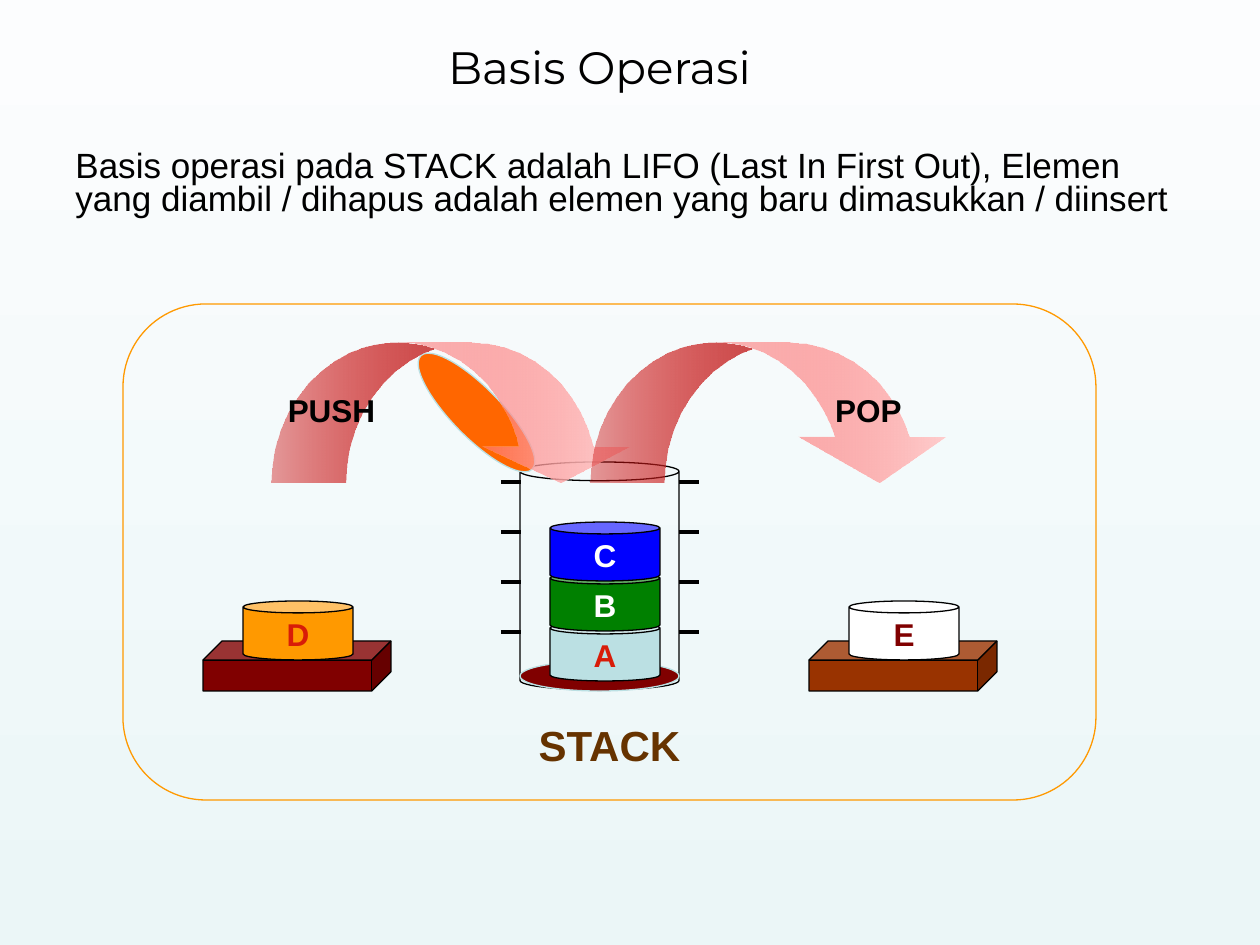
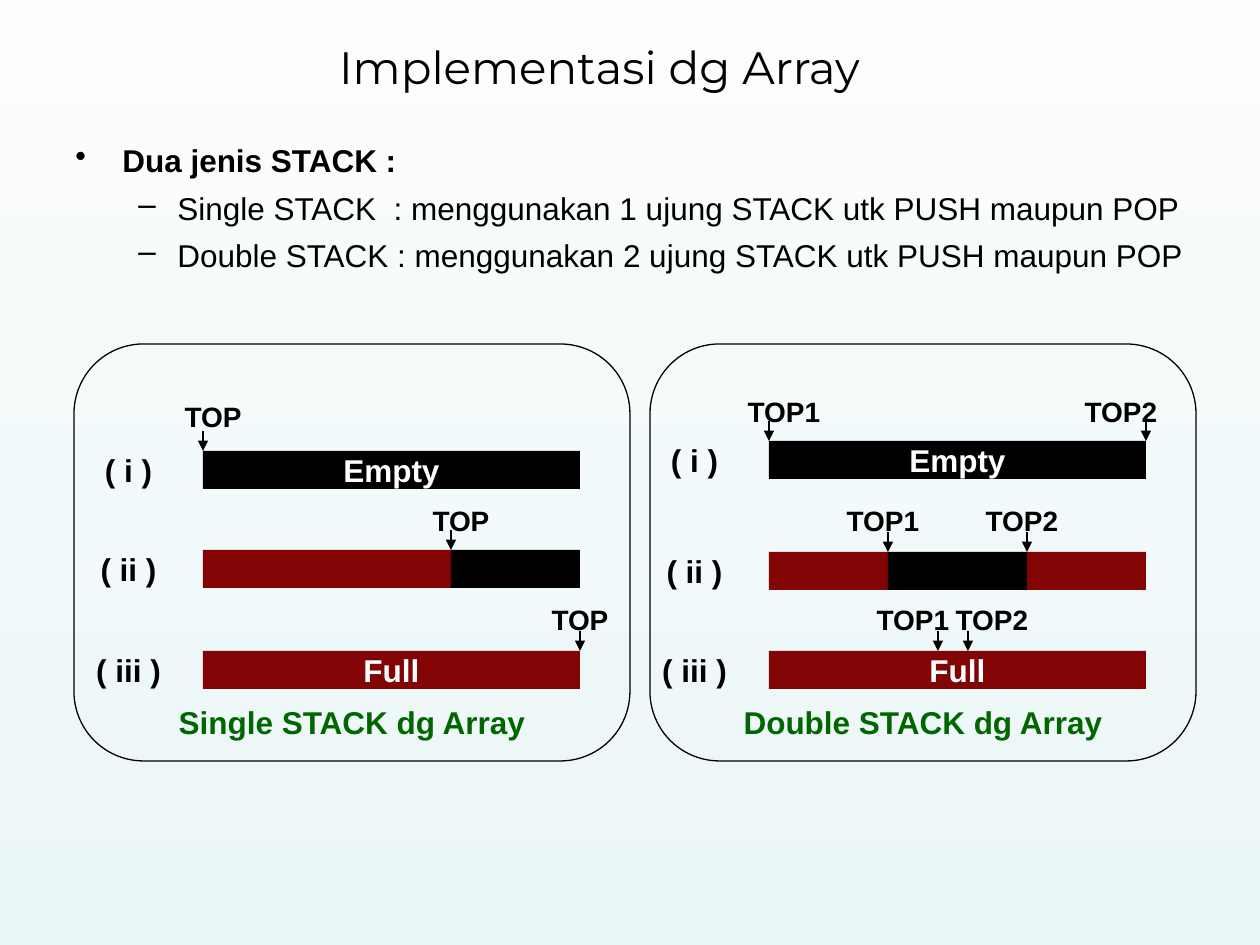
from dataclasses import dataclass

from lxml import etree
from pptx import Presentation
from pptx.dml.color import RGBColor
from pptx.enum.shapes import MSO_CONNECTOR, MSO_SHAPE
from pptx.enum.text import MSO_ANCHOR as ANCHOR, PP_ALIGN as ALIGN
from pptx.oxml.ns import qn
from pptx.util import Emu, Pt

EMU_PER_PX = 914400 / 126


@dataclass(frozen=True)
class Theme:
    body_font: str = "Arial"
    title_font: str = "Montserrat"
    title_size: float = 25.9
    lead_size: int = 20
    caption_size: int = 24
    text_size: int = 18
    pointer_size: int = 16
    sky_top: str = "FCFDFE"
    sky_bottom: str = "EBF6F7"
    black: str = "000000"
    white: str = "FFFFFF"
    maroon: str = "800000"
    orange: str = "FF9900"
    deep_orange: str = "FF6600"
    rust: str = "993300"
    brown: str = "663300"
    pale_blue: str = "BBE0E3"
    blue: str = "0000FF"
    green: str = "008000"
    dark_green: str = "006600"
    red: str = "D81C08"
    arrow_red: str = "FF0000"
    arrow_pink: str = "FFD1D1"


T = Theme()


def px(n):
    return Emu(round(n * EMU_PER_PX))


def rgb(code):
    return RGBColor.from_string(code)


def set_alpha(fill_xml, percent):
    """Make the first colour inside a fill partly transparent."""
    color = next(fill_xml.iter(qn("a:srgbClr")))
    etree.SubElement(color, qn("a:alpha")).set("val", str(percent * 1000))


def gradient(fill, start, end, angle):
    fill.gradient()
    fill.gradient_angle = angle
    for stop, position, code in zip(fill.gradient_stops, (0, 1), (start, end)):
        stop.position = position
        stop.color.rgb = rgb(code)


def write(sp, text, size=T.text_size, color=T.black, font=T.body_font, bold=False,
          align=ALIGN.CENTER, anchor=ANCHOR.MIDDLE, wrap=True, spacing=None,
          before=0, margins=None, bullet=None, hanging=(0, 0)):
    """Add a paragraph to a shape; the first call fills the empty one."""
    tf = sp.text_frame
    tf.word_wrap, tf.vertical_anchor = wrap, anchor
    if margins:
        tf.margin_left, tf.margin_top, tf.margin_right, tf.margin_bottom = map(px, margins)
    p = tf.add_paragraph() if tf.text else tf.paragraphs[0]
    p.alignment, p.space_before = align, Pt(before)
    if spacing:
        p.line_spacing = spacing
    if bullet:
        pPr = p._p.get_or_add_pPr()
        left, indent = hanging
        pPr.set("marL", str(px(left)))
        pPr.set("indent", str(px(indent)))
        etree.SubElement(pPr, qn("a:buChar")).set("char", bullet)
    r = p.add_run()
    r.text = text
    r.font.size, r.font.bold, r.font.name = Pt(size), bold, font
    r.font.color.rgb = rgb(color)


def add_text(s, box, text, **fmt):
    sp = s.shapes.add_textbox(*map(px, box))
    write(sp, text, **fmt)
    return sp


def add_shape(s, kind, box, fill=None, line=None, adj=()):
    sp = s.shapes.add_shape(kind, *map(px, box))
    sp.shadow.inherit = False
    for i, value in enumerate(adj):
        sp.adjustments[i] = value
    if fill:
        sp.fill.solid()
        sp.fill.fore_color.rgb = rgb(fill)
    else:
        sp.fill.background()
    if line:
        sp.line.color.rgb = rgb(line)
        sp.line.width = Pt(0.75)
    else:
        sp.line.fill.background()
    return sp


def add_line(s, x1, y1, x2, y2, width=0.75, arrow=False):
    cx = s.shapes.add_connector(MSO_CONNECTOR.STRAIGHT, *map(px, (x1, y1, x2, y2)))
    cx.line.color.rgb = rgb(T.black)
    cx.line.width = Pt(width)
    if arrow:
        etree.SubElement(cx.line._get_or_add_ln(), qn("a:tailEnd")).set("type", "triangle")
    etree.SubElement(cx._element.spPr, qn("a:effectLst"))


def add_slide(prs, title):
    s = prs.slides.add_slide(prs.slide_layouts[6])
    add_text(s, (64, 35, 1071, 69), title, size=T.title_size, font=T.title_font, spacing=0.9)
    return s


def add_frame(s, box, caption, line, **fmt):
    sp = add_shape(s, MSO_SHAPE.ROUNDED_RECTANGLE, box, line=line, adj=[0.167])
    write(sp, caption, bold=True, anchor=ANCHOR.BOTTOM, wrap=False, **fmt)


def add_element(s, x, y, letter, fill, color):
    """Draw one stack element as a lettered can."""
    sp = add_shape(s, MSO_SHAPE.CAN, (x, y, 110, 59), fill, T.black, [0.202])
    write(sp, letter, color=color, bold=True, wrap=False)


def add_pedestal(s, x, fill, letter, can_fill, color):
    add_shape(s, MSO_SHAPE.CUBE, (x, 641, 188, 50), fill, T.black, [0.383])
    add_element(s, x + 40, 601, letter, can_fill, color)


def add_move_arrow(s, x, head):
    sp = add_shape(s, MSO_SHAPE.CURVED_DOWN_ARROW, (x, 343, 362, 140), adj=[0.53, 1.05, head])
    gradient(sp.fill, T.arrow_red, T.arrow_pink, 0)
    set_alpha(sp._element.spPr, 39)


def add_container(s):
    x, right = 520, 679
    add_shape(s, MSO_SHAPE.CAN, (x, 462, right - x, 228), line=T.black, adj=[0.118])
    add_shape(s, MSO_SHAPE.OVAL, (x, 661, right - x, 30), T.maroon, T.pale_blue)


def add_ticks(s):
    for x in (501, 679):
        for i in range(4):
            add_line(s, x, 482 + 50 * i, x + 20, 482 + 50 * i, width=2)


def add_array_row(s, x, y, label, segments, label_y, tops):
    """Draw a bar of (width, colour, text) segments and its (name, offset, text offset) tops."""
    add_text(s, (x - 109, y, 69, 38), label, bold=True, margins=(0, 0, 0, 0), wrap=False)
    left = x
    for width, color, text in segments:
        sp = add_shape(s, MSO_SHAPE.RECTANGLE, (left, y, width, 38), color)
        if color == T.maroon:
            set_alpha(sp._element.spPr, 98)
        if text:
            write(sp, text, color=T.white, bold=True, margins=(0, 0, 0, 0))
        left += width
    for name, offset, text_offset in tops:
        add_text(s, (x + text_offset - 45, label_y, 90, 34), name, size=T.pointer_size,
                 bold=True, margins=(0, 0, 0, 0))
        add_line(s, x + offset, y - 20, x + offset, y, arrow=True)


def operations_slide(prs):
    s = add_slide(prs, "Basis Operasi")
    add_text(s, (63, 145, 1143, 139),
             "Basis operasi pada STACK adalah LIFO (Last In First Out), Elemen yang diambil / "
             "dihapus adalah elemen yang baru dimasukkan / diinsert",
             size=T.lead_size, align=ALIGN.LEFT, anchor=ANCHOR.TOP, spacing=0.8)
    add_container(s)
    lid = add_shape(s, MSO_SHAPE.OVAL, (397, 388, 159, 49), T.deep_orange, T.pale_blue)
    lid.rotation = 45.6
    add_move_arrow(s, 272, 0.26)
    add_move_arrow(s, 590, 0.33)
    add_pedestal(s, 203, T.maroon, "D", T.orange, T.red)
    add_pedestal(s, 809, T.rust, "E", T.white, T.maroon)
    add_ticks(s)
    stack = [("A", T.pale_blue, T.red), ("B", T.green, T.white), ("C", T.blue, T.white)]
    for i, element in enumerate(stack):
        add_element(s, 550, 622 - 50 * i, *element)
    for x, name in ((272, "PUSH"), (809, "POP")):
        add_text(s, (x, 385, 119, 50), name, bold=True)
    add_frame(s, (123, 304, 973, 496), "STACK", T.orange, size=T.caption_size, color=T.brown)


def array_slide(prs):
    s = add_slide(prs, "Implementasi dg Array")
    body = s.shapes.add_textbox(*map(px, (63, 135, 1197, 198)))
    bullets = [
        ("Dua jenis STACK :", True, "•", (47, -47)),
        ("Single STACK  : menggunakan 1 ujung STACK utk PUSH maupun POP", False, "–", (102, -39)),
        ("Double STACK : menggunakan 2 ujung STACK utk PUSH maupun POP", False, "–", (102, -39)),
    ]
    for text, bold, bullet, hanging in bullets:
        write(body, text, bold=bold, bullet=bullet, hanging=hanging, before=5.6,
              align=ALIGN.LEFT, anchor=ANCHOR.TOP)

    bar = 377
    empty, full = [(bar, T.black, "Empty")], [(bar, T.maroon, "Full")]
    single = [
        (451, "( i )", empty, 399, [("TOP", 0, 10)]),
        (550, "( ii )", [(248, T.maroon, ""), (129, T.black, "")], 503, [("TOP", 248, 258)]),
        (651, "( iii )", full, 602, [("TOP", bar, bar)]),
    ]
    halves = [(119, T.maroon, ""), (139, T.black, ""), (119, T.maroon, "")]
    double = [
        (441, "( i )", empty, 394, [("TOP1", 0, 15), ("TOP2", bar, 352)]),
        (552, "( ii )", halves, 503, [("TOP1", 119, 114), ("TOP2", 258, 253)]),
        (651, "( iii )", full, 602, [("TOP1", 169, 144), ("TOP2", 199, 223)]),
    ]
    panels = [
        (74, 556, "Single STACK dg Array", 203, single),
        (650, 546, "Double STACK dg Array", 769, double),
    ]
    for x, width, caption, bar_x, rows in panels:
        for row in rows:
            add_array_row(s, bar_x, *row)
        add_frame(s, (x, 344, width, 417), caption, T.black, color=T.dark_green,
                  margins=(13, 6, 13, 0))


def main():
    prs = Presentation()
    prs.slide_width, prs.slide_height = px(1260), px(945)
    gradient(prs.slide_master.background.fill, T.sky_top, T.sky_bottom, 270)
    operations_slide(prs)
    array_slide(prs)
    prs.save("out.pptx")


if __name__ == "__main__":
    main()
